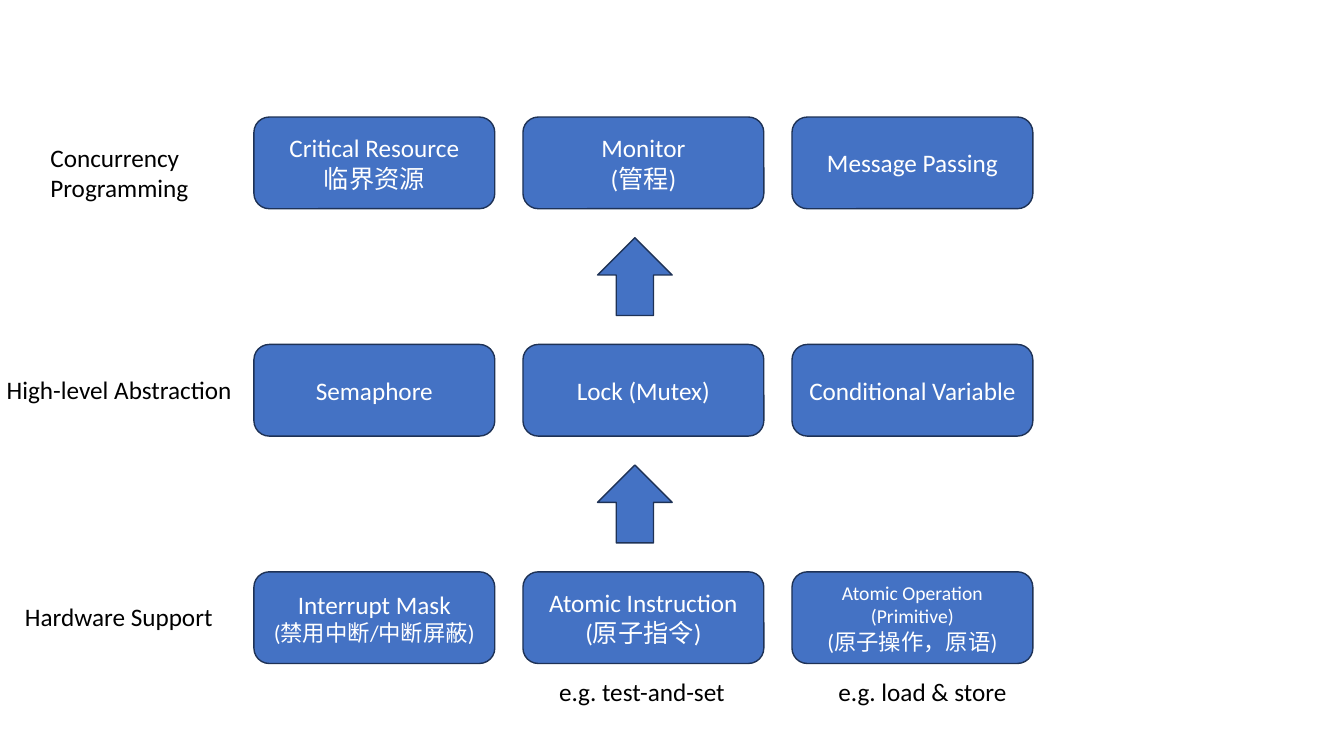
from dataclasses import dataclass

from pptx import Presentation
from pptx.dml.color import RGBColor
from pptx.enum.shapes import MSO_SHAPE
from pptx.enum.text import MSO_ANCHOR, MSO_AUTO_SIZE, PP_ALIGN
from pptx.shapes.autoshape import Shape
from pptx.slide import Slide
from pptx.text.text import TextFrame
from pptx.util import Cm, Pt

ROUND = MSO_SHAPE.ROUNDED_RECTANGLE
ARROW = MSO_SHAPE.UP_ARROW
MIDDLE = MSO_ANCHOR.MIDDLE
GROW = MSO_AUTO_SIZE.SHAPE_TO_FIT_TEXT
LEFT, CENTER = PP_ALIGN.LEFT, PP_ALIGN.CENTER

FONT = "Calibri"
COLORS = {"fill": "4472C4", "edge": "1E3256", "light": "FFFFFF", "dark": "000000"}

BOX_X, BOX_Y = 6.4, 2.95
STEP_X, STEP_Y = 6.78, 5.73
BOX_W, BOX_H = 6.07, 2.31
ARROW_X, ARROW_GAP = 15.06, 3.04
ARROW_W, ARROW_H = 1.88, 1.96


@dataclass
class Line:
    text: str
    size: int = 18


@dataclass
class Label:
    x: float
    y: float
    w: float
    h: float
    lines: list[Line]


LAYERS = [
    [
        [Line("Critical Resource"), Line("临界资源")],
        [Line("Monitor"), Line("(管程)")],
        [Line("Message Passing")],
    ],
    [
        [Line("Semaphore")],
        [Line("Lock (Mutex)")],
        [Line("Conditional Variable")],
    ],
    [
        [Line("Interrupt Mask"), Line("(禁用中断/中断屏蔽)", 16)],
        [Line("Atomic Instruction"), Line("(原子指令)")],
        [Line("Atomic Operation (Primitive)", 14), Line("(原子操作，原语)", 16)],
    ],
]

LABELS = [
    Label(1.02, 3.45, 4.01, 1.8, [Line("Concurrency"), Line("Programming")]),
    Label(-0.08, 9.32, 6.25, 1.02, [Line("High-level Abstraction")]),
    Label(0.38, 15.04, 5.31, 1.02, [Line("Hardware Support")]),
    Label(13.84, 16.92, 4.72, 1.02, [Line("e.g. test-and-set")]),
    Label(20.88, 16.92, 4.8, 1.02, [Line("e.g. load & store")]),
]


def color(name: str) -> RGBColor:
    return RGBColor.from_string(COLORS[name])


def write(frame: TextFrame, lines: list[Line], tone: str, align: PP_ALIGN) -> None:
    for i, line in enumerate(lines):
        para = frame.add_paragraph() if i else frame.paragraphs[0]
        para.text = line.text
        para.alignment = align
        para.font.name = FONT
        para.font.size = Pt(line.size)
        para.font.color.rgb = color(tone)


def add_solid(slide: Slide, kind: MSO_SHAPE, x: float, y: float, w: float, h: float) -> Shape:
    shape = slide.shapes.add_shape(kind, Cm(x), Cm(y), Cm(w), Cm(h))
    shape.shadow.inherit = False
    shape.fill.solid()
    shape.fill.fore_color.rgb = color("fill")
    shape.line.color.rgb = color("edge")
    shape.line.width = Pt(1)
    return shape


def add_box(slide: Slide, x: float, y: float, lines: list[Line]) -> None:
    frame = add_solid(slide, ROUND, x, y, BOX_W, BOX_H).text_frame
    frame.word_wrap = True
    frame.vertical_anchor = MIDDLE
    write(frame, lines, "light", CENTER)


def add_label(slide: Slide, label: Label) -> None:
    box = slide.shapes.add_textbox(Cm(label.x), Cm(label.y), Cm(label.w), Cm(label.h))
    frame = box.text_frame
    frame.word_wrap = False
    frame.auto_size = GROW
    write(frame, label.lines, "dark", LEFT)


def main() -> None:
    deck = Presentation()
    deck.slide_width, deck.slide_height = Cm(33.87), Cm(19.05)
    slide = deck.slides.add_slide(deck.slide_layouts[6])

    for row, layer in enumerate(LAYERS):
        y = BOX_Y + row * STEP_Y
        for col, lines in enumerate(layer):
            add_box(slide, BOX_X + col * STEP_X, y, lines)
        if row < len(LAYERS) - 1:
            add_solid(slide, ARROW, ARROW_X, y + ARROW_GAP, ARROW_W, ARROW_H)

    for label in LABELS:
        add_label(slide, label)

    deck.save("out.pptx")


if __name__ == "__main__":
    main()
